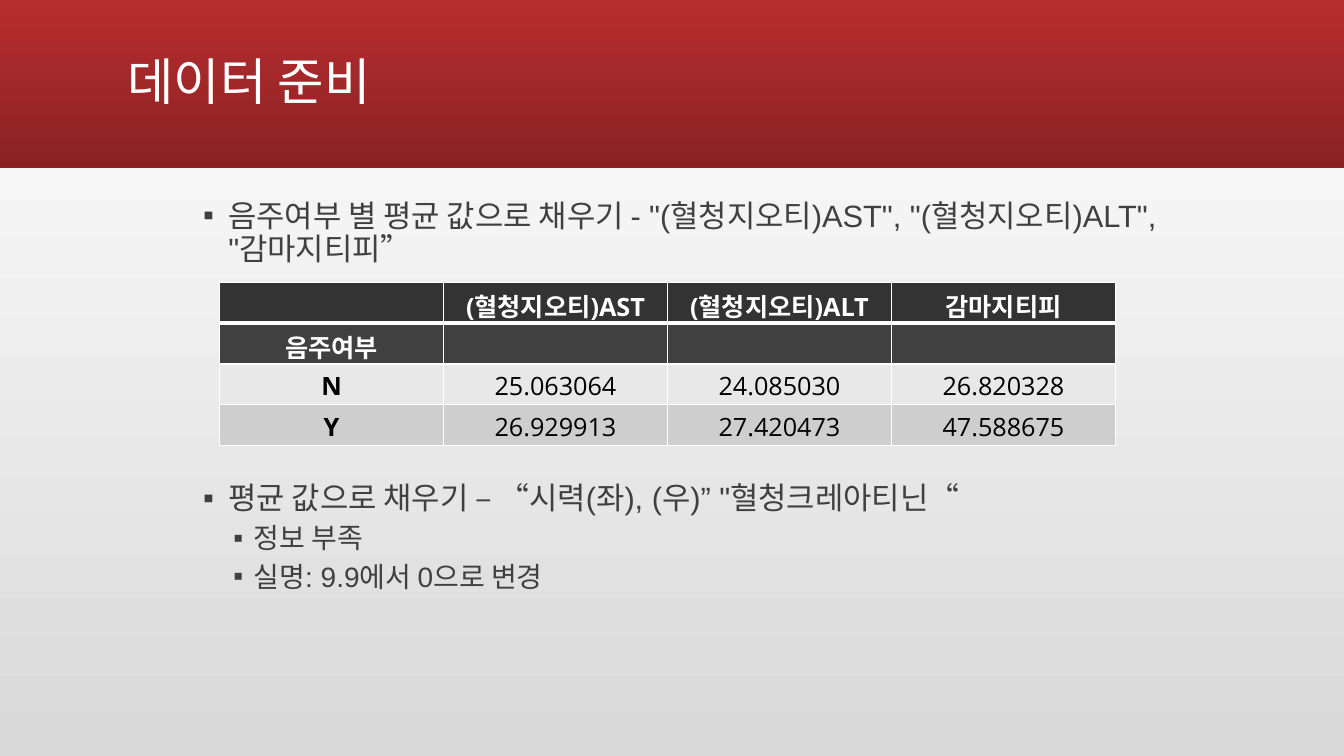
from dataclasses import dataclass

from lxml.etree import SubElement
from pptx import Presentation
from pptx.dml.color import RGBColor
from pptx.enum.shapes import MSO_SHAPE
from pptx.enum.text import MSO_ANCHOR, PP_ALIGN
from pptx.oxml.ns import qn
from pptx.util import Inches, Pt


@dataclass(frozen=True)
class Theme:
    heading_font: str = "Open Sans"
    body_font: str = "Arial"
    title_size: int = 36
    body_size: int = 22
    detail_size: int = 20
    table_size: int = 18
    white: str = "FFFFFF"
    black: str = "000000"
    body_color: str = "404040"
    background: tuple = ("D9D9D9", "FFFFFF")
    banner: tuple = ("B82D2F", "8A2223")
    table_rows: tuple = ("333333", "404040", "E8E8E8", "CECECE")


def write(paragraph, text, *, font, size, color, bold=False, align=PP_ALIGN.LEFT,
          line_spacing=None, space_before=0):
    paragraph.alignment = align
    paragraph.space_before = Pt(space_before)
    if line_spacing:
        paragraph.line_spacing = line_spacing
    if text:
        run = paragraph.add_run()
        run.text = text
        run.font.name = font
        run.font.size = Pt(size)
        run.font.bold = bold
        run.font.color.rgb = RGBColor.from_string(color)


def add_bullet(paragraph, margin, indent):
    properties = paragraph._p.get_or_add_pPr()
    properties.set("marL", str(Inches(margin)))
    properties.set("indent", str(Inches(indent)))
    SubElement(properties, qn("a:buFont"), typeface="Arial")
    SubElement(properties, qn("a:buChar"), char="▪")


def add_border(cell, side, color, width):
    line = SubElement(cell._tc.get_or_add_tcPr(), qn(f"a:ln{side}"), w=str(Pt(width)))
    SubElement(SubElement(line, qn("a:solidFill")), qn("a:srgbClr"), val=color)


def fill_gradient(fill, colors, angle):
    fill.gradient()
    fill.gradient_angle = angle
    for stop, color in zip(fill.gradient_stops, colors):
        stop.color.rgb = RGBColor.from_string(color)


class SlideBuilder:
    """Places elements on a grid of 24 columns and 36 rows."""

    COLUMNS, ROWS = 24, 36

    def __init__(self, presentation, theme):
        self.theme = theme
        self.column = presentation.slide_width / self.COLUMNS
        self.row = presentation.slide_height / self.ROWS
        self.slide = presentation.slides.add_slide(presentation.slide_layouts[6])
        fill_gradient(self.slide.background.fill, theme.background, 90)

    def place(self, left, top, width, height):
        return (round(left * self.column), round(top * self.row),
                round(width * self.column), round(height * self.row))

    def banner(self, *area):
        shape = self.slide.shapes.add_shape(MSO_SHAPE.RECTANGLE, *self.place(*area))
        shape.shadow.inherit = False
        shape.line.fill.background()
        fill_gradient(shape.fill, self.theme.banner, 270)

    def text_frame(self, *area, anchor=MSO_ANCHOR.TOP):
        frame = self.slide.shapes.add_textbox(*self.place(*area)).text_frame
        frame.word_wrap = True
        frame.vertical_anchor = anchor
        return frame

    def title(self, text, *area):
        frame = self.text_frame(*area, anchor=MSO_ANCHOR.MIDDLE)
        write(frame.paragraphs[0], text, font=self.theme.heading_font,
              size=self.theme.title_size, color=self.theme.white, line_spacing=0.9)

    def bullets(self, items, *area):
        frame = self.text_frame(*area)
        levels = {1: (self.theme.body_size, 0.5, -0.25),
                  2: (self.theme.detail_size, 0.75, -0.2)}
        for index, (level, space_before, text) in enumerate(items):
            paragraph = frame.add_paragraph() if index else frame.paragraphs[0]
            size, margin, indent = levels[level]
            paragraph.level = level - 1
            write(paragraph, text, font=self.theme.body_font, size=size,
                  color=self.theme.body_color, line_spacing=0.9,
                  space_before=space_before)
            add_bullet(paragraph, margin, indent)

    def table(self, values, *area):
        theme = self.theme
        table = self.slide.shapes.add_table(
            len(values), len(values[0]), *self.place(*area)).table
        for row, texts in enumerate(values):
            for column, text in enumerate(texts):
                cell = table.cell(row, column)
                cell.vertical_anchor = MSO_ANCHOR.MIDDLE
                # The line under the header row is heavier
                widths = {"L": 1, "R": 1, "T": 3 if row == 1 else 1,
                          "B": 3 if row == 0 else 1}
                for side, width in widths.items():
                    add_border(cell, side, theme.white, width)
                cell.fill.solid()
                cell.fill.fore_color.rgb = RGBColor.from_string(theme.table_rows[row])
                write(cell.text_frame.paragraphs[0], text, font=theme.heading_font,
                      size=theme.table_size, align=PP_ALIGN.CENTER,
                      color=theme.white if row < 2 else theme.black,
                      bold=row < 2 or column == 0)


def main():
    presentation = Presentation()
    presentation.slide_width = Inches(13.33)
    presentation.slide_height = Inches(7.5)
    builder = SlideBuilder(presentation, Theme())

    # Banner and title
    builder.banner(0, 0, 24, 8)
    builder.title("데이터 준비", 2.1, 0.53, 19.8, 6.96)

    # Bullets, with room for the table after the first one
    builder.bullets([
        (1, 6, '음주여부 별 평균 값으로 채우기 - "(혈청지오티)AST", "(혈청지오티)ALT", "감마지티피”'),
        (1, 154, '평균 값으로 채우기 – “시력(좌), (우)” "혈청크레아티닌“'),
        (2, 6, "정보 부족"),
        (2, 6, "실명: 9.9에서 0으로 변경"),
    ], 3, 9.31, 18, 24)

    # Averages by drinking status
    builder.table([
        ("", "(혈청지오티)AST", "(혈청지오티)ALT", "감마지티피"),
        ("음주여부", "", "", ""),
        ("N", "25.063064", "24.085030", "26.820328"),
        ("Y", "26.929913", "27.420473", "47.588675"),
    ], 3.92, 13.44, 16, 7.78)

    presentation.save("out.pptx")


if __name__ == "__main__":
    main()
